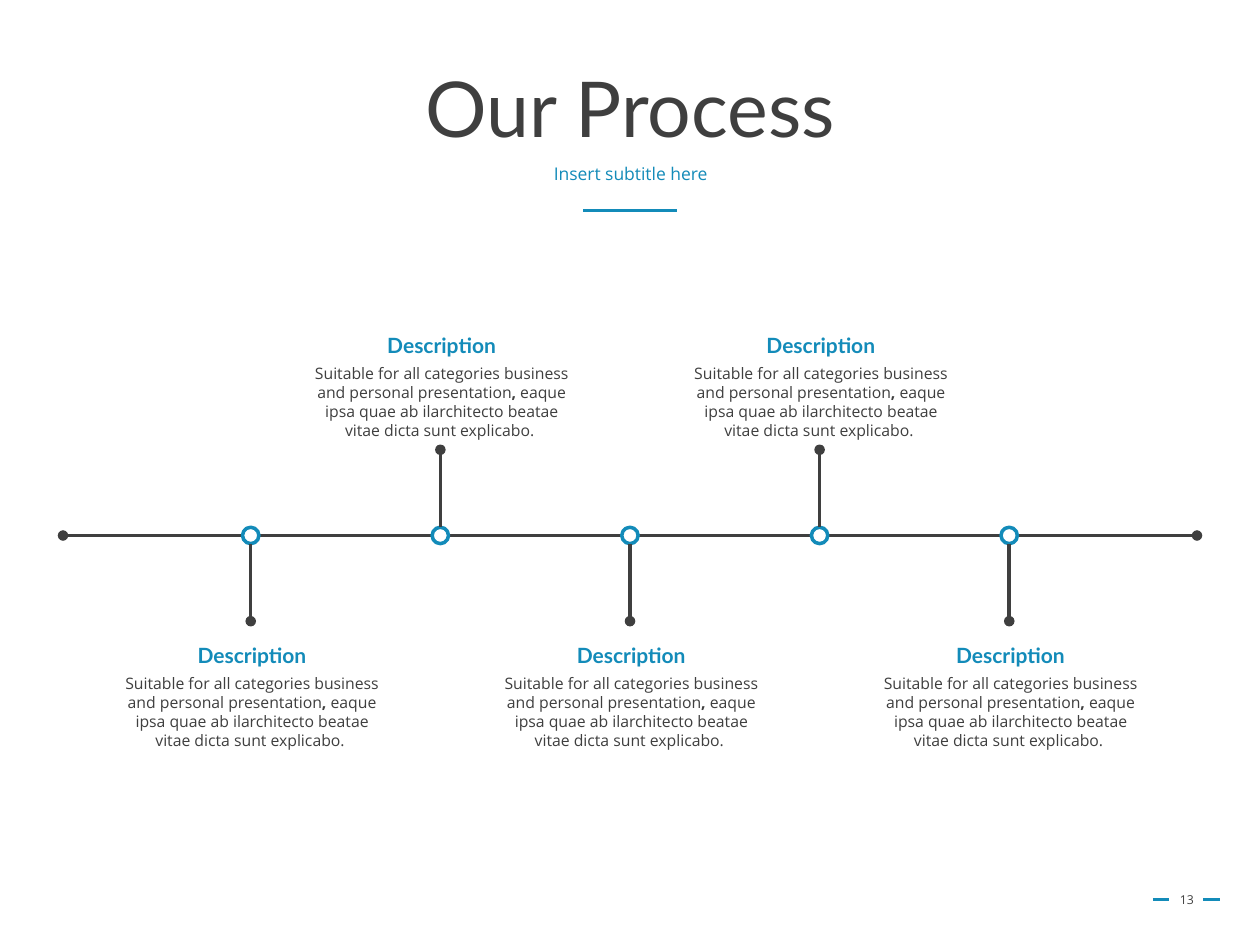
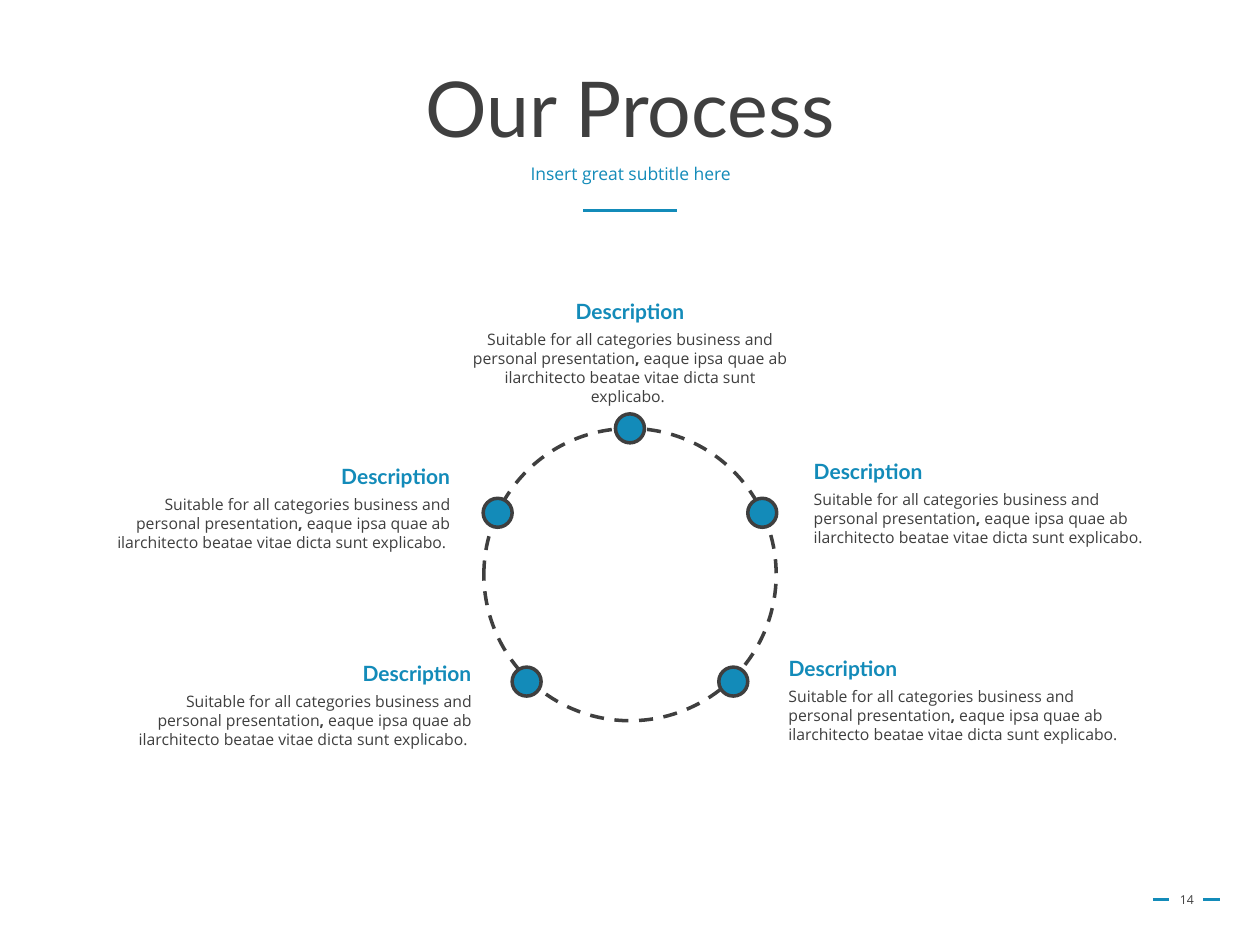
from lxml import etree
from pptx import Presentation
from pptx.dml.color import RGBColor
from pptx.enum.dml import MSO_LINE
from pptx.enum.shapes import MSO_CONNECTOR, MSO_SHAPE
from pptx.enum.text import MSO_ANCHOR, PP_ALIGN
from pptx.oxml.ns import qn
from pptx.util import Inches, Pt

LEFT, CENTER, RIGHT = PP_ALIGN.LEFT, PP_ALIGN.CENTER, PP_ALIGN.RIGHT
TOP, MIDDLE = MSO_ANCHOR.TOP, MSO_ANCHOR.MIDDLE
STRAIGHT, OVAL, DASH = MSO_CONNECTOR.STRAIGHT, MSO_SHAPE.OVAL, MSO_LINE.DASH

COLORS = {"dark": "3F3F3F", "blue": "138BB9", "white": "FFFFFF"}
HEAD_FONT, BODY_FONT = "Lato", "Open Sans"

HEAD = "Description"
BODY = [
    ("Suitable for all categories business and personal presentation", False),
    (",", True),
    (" eaque ipsa quae ab ilarchitecto beatae vitae dicta sunt explicabo. ", False),
]
HEAD_WIDTH = 1.71
SHIFT = {LEFT: 0, CENTER: 0.5, RIGHT: 1}  # share of the slack left of a box


def color(name):
    return RGBColor.from_string(COLORS[name])


def add_text(slide, text, left, top, width, height, size=9, font=BODY_FONT,
             tint="dark", bold=False, align=CENTER, anchor=TOP, spacing=None):
    """Add a text box; text is a string or a list of (string, bold) runs."""
    box = slide.shapes.add_textbox(
        Inches(left), Inches(top), Inches(width), Inches(height))
    frame = box.text_frame
    frame.word_wrap = True
    frame.vertical_anchor = anchor
    para = frame.paragraphs[0]
    para.alignment = align
    if spacing:
        para.line_spacing = spacing
    for part, heavy in [(text, bold)] if isinstance(text, str) else text:
        run = para.add_run()
        run.text = part
        run.font.name = font
        run.font.size = Pt(size)
        run.font.bold = heavy
        run.font.color.rgb = color(tint)


def add_line(slide, x1, y1, x2, y2, tint="dark", weight=2, ends=()):
    """Add a line; ends names the end tags that get a round dot."""
    line = slide.shapes.add_connector(
        STRAIGHT, Inches(x1), Inches(y1), Inches(x2), Inches(y2))
    line.line.color.rgb = color(tint)
    line.line.width = Pt(weight)
    stroke = line.line._get_or_add_ln()
    for end in ends:
        etree.SubElement(stroke, qn(end), type="oval")
    etree.SubElement(line._element.spPr, qn("a:effectLst"))


def add_circle(slide, x, y, size, edge, fill=None):
    """Add a circle centred on x, y."""
    dot = slide.shapes.add_shape(
        OVAL, Inches(x - size / 2), Inches(y - size / 2), Inches(size), Inches(size))
    dot.shadow.inherit = False
    dot.line.color.rgb = color(edge)
    dot.line.width = Pt(2)
    if fill:
        dot.fill.solid()
        dot.fill.fore_color.rgb = color(fill)
    else:
        dot.fill.background()
    return dot


def add_card(slide, left, top, width, height, align=CENTER):
    """Add a heading with its description below."""
    inset = (width - HEAD_WIDTH) * SHIFT[align]
    add_text(slide, BODY, left, top + 0.25, width, height, align=align)
    add_text(slide, HEAD, left + inset, top, HEAD_WIDTH, 0.3, size=12,
             font=HEAD_FONT, tint="blue", bold=True, align=align)


def add_frame(slide, subtitle, number):
    """Add the title, subtitle, rule and page number."""
    for start, end, y in [(4.63, 5.37, 1.67), (9.15, 9.28, 7.14), (9.55, 9.68, 7.14)]:
        add_line(slide, start, y, end, y, tint="blue", weight=1.75)
    add_text(slide, "Our Process", 0.69, 0.4, 8.63, 0.98, size=44,
             font=HEAD_FONT, anchor=MIDDLE, spacing=0.9)
    add_text(slide, str(number), 9.2, 6.94, 0.44, 0.4, size=7, anchor=MIDDLE)
    add_text(slide, subtitle, 0.69, 1.26, 8.63, 0.4, size=10, tint="blue",
             spacing=0.9)


def add_timeline(slide, left, y, width, count=5, step=1.505):
    """Add an axis whose steps hang below and above in turn."""
    add_line(slide, left, y, left + width, y, ends=("a:headEnd", "a:tailEnd"))
    first = left + width / 2 - step * (count - 1) / 2
    for i in range(count):
        x = first + i * step
        side = -1 if i % 2 else 1
        add_circle(slide, x, y, 0.13, "blue", "white")
        add_line(slide, x, y + side * 0.07, x, y + side * 0.68, ends=("a:tailEnd",))
        top = y + (0.79 if side > 0 else -1.66)
        add_card(slide, x - 1.13, top + (0.01 if side > 0 else 0), 2.28, 0.7)


def add_cycle(slide, x, y, size):
    """Add a dashed ring with five nodes, each with a card."""
    ring = add_circle(slide, x, y, size, "dark")
    ring.line.dash_style = DASH
    for dx, dy in [(0, -1.16), (-1.05, -0.49), (1.05, -0.49), (-0.82, 0.85), (0.82, 0.85)]:
        add_circle(slide, x + dx, y + dy, 0.23, "dark", "blue")
    cards = [
        (-1.38, -2.24, 2.76, 0.7, CENTER),
        (1.36, -0.97, 2.83, 0.55, LEFT),
        (1.16, 0.59, 2.83, 0.55, LEFT),
        (-4.18, -0.93, 2.85, 0.55, RIGHT),
        (-4.01, 0.63, 2.85, 0.55, RIGHT),
    ]
    for dx, dy, width, height, align in cards:
        add_card(slide, x + dx, y + dy, width, height, align)


def main():
    deck = Presentation()
    deck.slide_width, deck.slide_height = Inches(10), Inches(7.5)
    blank = deck.slide_layouts[6]

    slide = deck.slides.add_slide(blank)
    add_frame(slide, "Insert subtitle here", 13)
    add_timeline(slide, 0.5, 4.25, 9)

    slide = deck.slides.add_slide(blank)
    add_frame(slide, "Insert great subtitle here", 14)
    add_cycle(slide, 5, 4.56, 2.32)

    deck.save("out.pptx")


if __name__ == "__main__":
    main()
